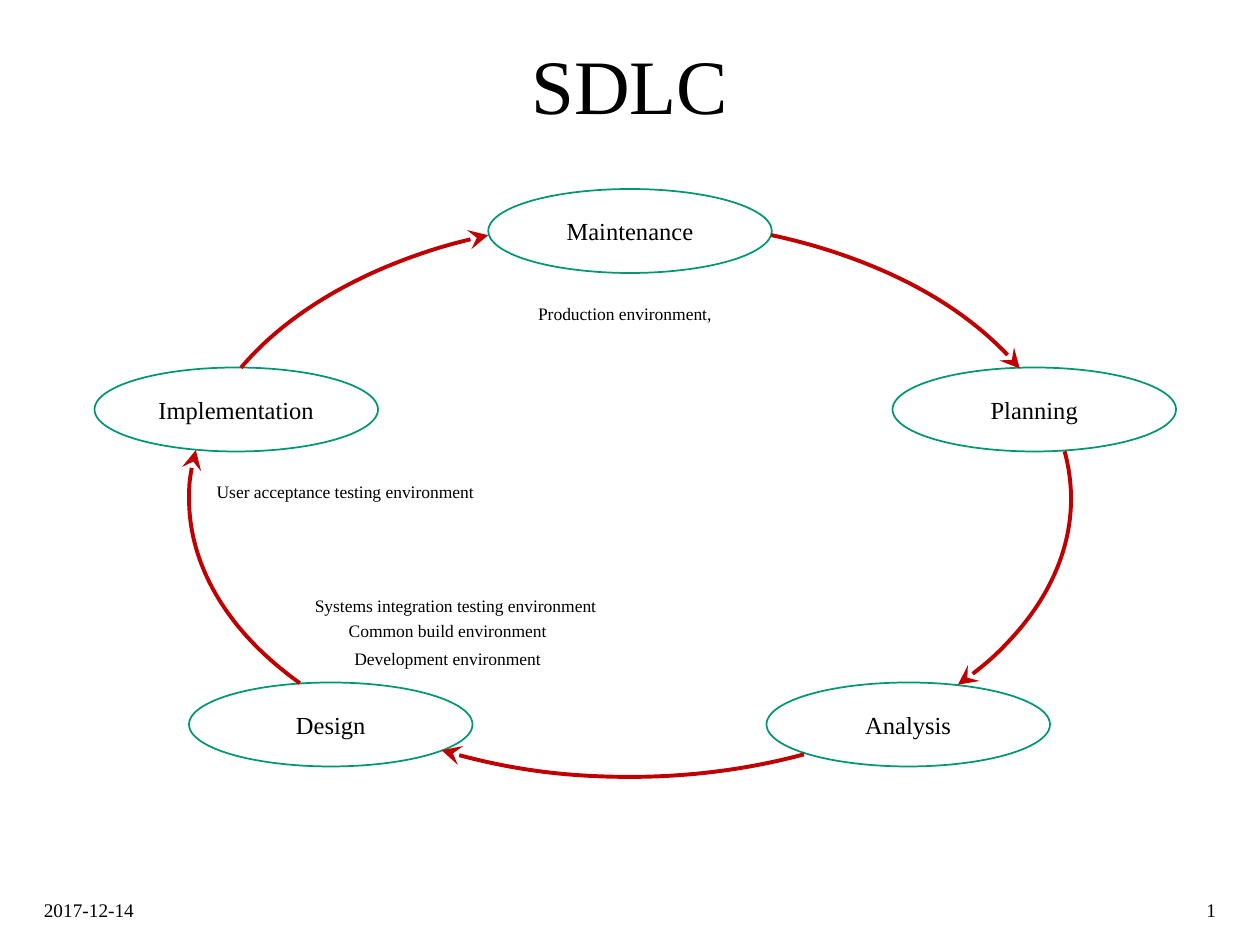
from lxml import etree
from pptx import Presentation
from pptx import util as u
from pptx.dml.color import RGBColor
from pptx.enum import shapes, text

PX = 9525  # EMU in one px, 96 px to the inch
FONT = "Times New Roman"
BLACK, WHITE, GREEN, RED = "000000", "FFFFFF", "009771", "C00000"
ALIGN = text.PP_ALIGN


def rect(*lengths):
    """Turn px lengths into EMU."""
    return [length * PX for length in lengths]


def write(shape, words, size, align):
    shape.text_frame.word_wrap = True
    para = shape.text_frame.paragraphs[0]
    para.alignment = align
    span = para.add_run()
    span.text = words
    span.font.size = u.Pt(size)
    span.font.name = FONT
    span.font.color.rgb = RGBColor.from_string(BLACK)


deck = Presentation()
deck.slide_width, deck.slide_height = rect(960, 720)
page = deck.slides.add_slide(deck.slide_layouts[5])

title = page.shapes.title
title.left, title.top, title.width, title.height = rect(24, 24, 912, 80)
title.text_frame.vertical_anchor = text.MSO_ANCHOR.MIDDLE
write(title, "SDLC", 44, ALIGN.CENTER)

# Footer
for left, words, align in [(24, "2017-12-14", ALIGN.LEFT), (736, "1", ALIGN.RIGHT)]:
    box = page.shapes.add_textbox(*rect(left, 680, 200, 24))
    write(box, words, 11, align)

# Phases of the cycle
phases = [
    ("Implementation", 72, 280),
    ("Planning", 680, 280),
    ("Analysis", 584, 520),
    ("Design", 144, 520),
    ("Maintenance", 372, 144),
]
for words, left, top in phases:
    phase = page.shapes.add_shape(shapes.MSO_SHAPE.OVAL, *rect(left, top, 216, 64))
    phase.shadow.inherit = False
    phase.fill.solid()
    phase.fill.fore_color.rgb = RGBColor.from_string(WHITE)
    phase.line.color.rgb = RGBColor.from_string(GREEN)
    phase.line.width = u.Pt(1)
    phase.text_frame.vertical_anchor = text.MSO_ANCHOR.MIDDLE
    write(phase, words, 14, ALIGN.CENTER)

# Arrows: sections of one ellipse turned by 90 degrees, as start and end in degrees
sections = [(263.78, 299.57), (208.14, 251.53), (325.76, 36.83), (60.81, 96.39), (108.61, 151.72)]
for start, end in sections:
    arrow = page.shapes.add_shape(shapes.MSO_SHAPE.ARC, *rect(268, 44, 424, 672))
    arrow.rotation = 90
    arrow.adjustments[0] = start * 0.6
    arrow.adjustments[1] = end * 0.6
    arrow.shadow.inherit = False
    arrow.fill.background()
    arrow.line.color.rgb = RGBColor.from_string(RED)
    arrow.line.width = u.Pt(2.25)
    line = arrow.line._get_or_add_ln()
    head = etree.SubElement(line, line.tag.replace("}ln", "}tailEnd"))
    for key, value in [("type", "stealth"), ("w", "lg"), ("len", "lg")]:
        head.set(key, value)

# Environments beside the phases
environments = [
    ("Production environment,", 356, 226),
    ("User acceptance testing environment", 143, 362),
    ("Common build environment", 221, 468),
    ("Systems integration testing environment", 227, 449),
    ("Development environment", 221, 489),
]
for words, left, top in environments:
    label = page.shapes.add_textbox(*rect(left, top, 240, 26))
    write(label, words, 10, ALIGN.CENTER)
    label.text_frame.auto_size = text.MSO_AUTO_SIZE.SHAPE_TO_FIT_TEXT

deck.save("out.pptx")
